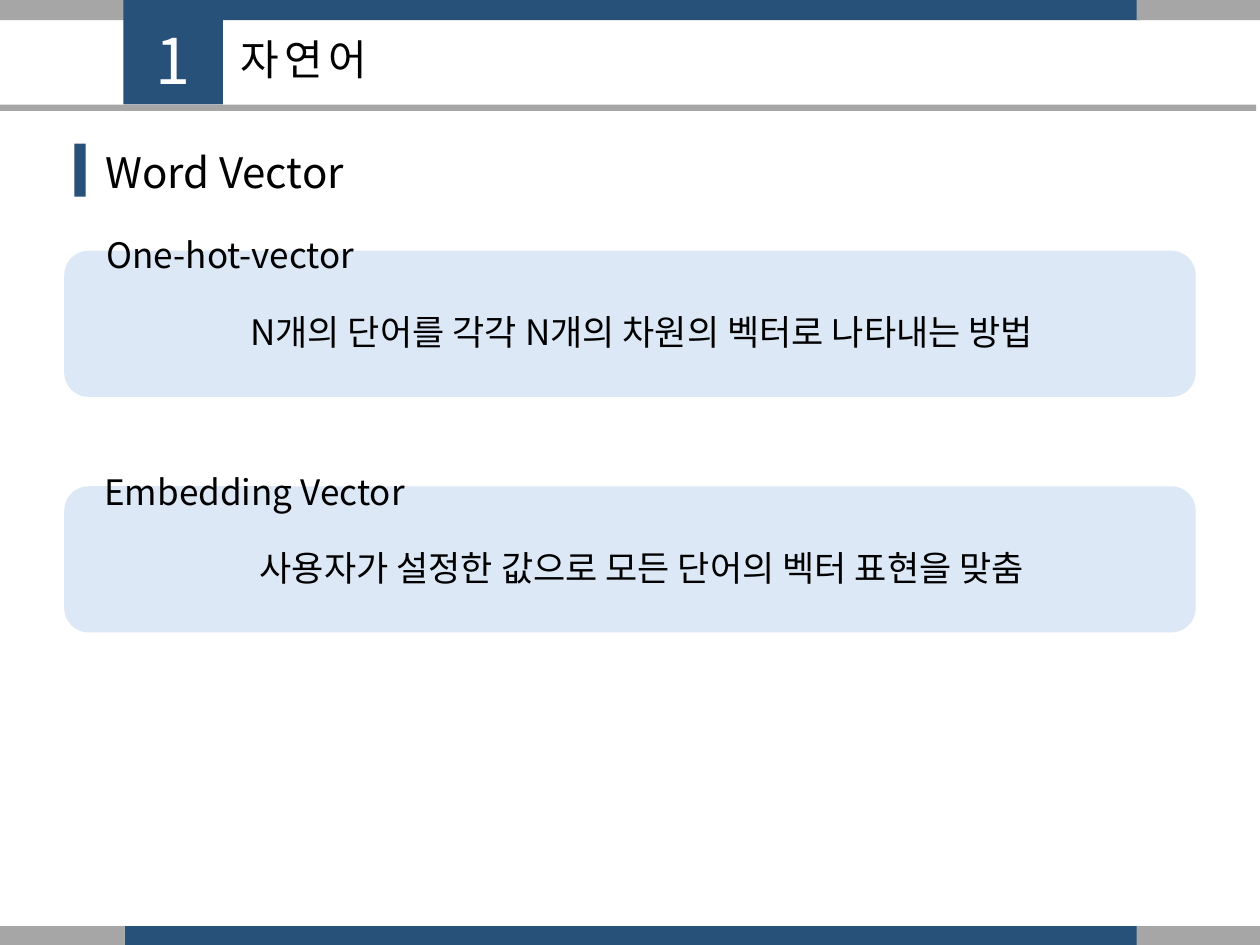
from lxml import etree
from pptx import Presentation
from pptx.dml.color import RGBColor
from pptx.enum import shapes, text
from pptx.oxml.ns import qn
from pptx.util import Inches, Pt

NAVY = RGBColor(0x28, 0x51, 0x7A)
GRAY = RGBColor(0xA6, 0xA6, 0xA6)
PALE_BLUE = RGBColor(0xC6, 0xD9, 0xF1)
BLACK = RGBColor(0, 0, 0)
WHITE = RGBColor(0xFF, 0xFF, 0xFF)
FONT = "Noto Sans CJK KR"
LEFT, CENTER = text.PP_ALIGN.LEFT, text.PP_ALIGN.CENTER
RECTANGLE = shapes.MSO_SHAPE.RECTANGLE
ROUNDED = shapes.MSO_SHAPE.ROUNDED_RECTANGLE


def add_block(parent, box, color, kind=RECTANGLE, opacity=None):
    shape = parent.shapes.add_shape(kind, *map(Inches, box))
    shape.shadow.inherit = False
    shape.fill.solid()
    shape.fill.fore_color.rgb = color
    shape.line.fill.background()
    if opacity is not None:
        color_element = shape.fill._xPr.find(".//" + qn("a:srgbClr"))
        etree.SubElement(color_element, qn("a:alpha"), val=str(opacity * 1000))
    return shape


def add_text(parent, box, words, size, color=BLACK, align=LEFT, line_spacing=None, tracking=0):
    shape = parent.shapes.add_textbox(*map(Inches, box))
    frame = shape.text_frame
    frame.word_wrap = True
    frame.auto_size = text.MSO_AUTO_SIZE.SHAPE_TO_FIT_TEXT
    paragraph = frame.paragraphs[0]
    paragraph.text = words
    paragraph.alignment = align
    if line_spacing:
        paragraph.line_spacing = line_spacing
    paragraph.font.size = Pt(size)
    paragraph.font.name = FONT
    paragraph.font.color.rgb = color
    properties = paragraph._p.pPr.find(qn("a:defRPr"))
    latin = properties.find(qn("a:latin"))
    latin.addnext(etree.Element(qn("a:ea"), typeface=FONT))
    if tracking:
        properties.set("spc", str(tracking * 100))


def add_band(slide, top):
    group = slide.shapes.add_group_shape()
    for left, width, color in ((0.99, 8.06, NAVY), (0, 0.99, GRAY), (9.02, 0.98, GRAY)):
        add_block(group, (left, top, width, 0.16), color)


def add_header(slide, number, title):
    add_block(slide, (0.98, 0, 0.79, 0.83), NAVY)
    add_text(slide, (1.81, 0.22, 5.51, 0.5), title, 24, tracking=3)
    add_block(slide, (-0.05, 0.83, 10.02, 0.05), GRAY)
    add_text(slide, (0.94, 0.12, 0.87, 0.71), number, 36, WHITE, CENTER, tracking=3)


def add_section_title(slide, title):
    add_text(slide, (0.74, 1.11, 3.94, 0.5), title, 24)
    add_block(slide, (0.59, 1.14, 0.09, 0.42), NAVY)


def add_card(slide, top, label, description, label_left, label_top, label_align):
    group = slide.shapes.add_group_shape()
    panel = add_block(group, (0.51, top, 8.98, 1.16), PALE_BLUE, ROUNDED, 60)
    panel.adjustments[0] = 0.167
    add_text(group, (0.94, top + 0.26, 8.31, 0.56), description, 20, BLACK, CENTER, 1.5)
    add_text(group, (label_left, label_top, 2.6, 0.56), label, 20, BLACK, label_align, 1.5)


def main():
    presentation = Presentation()
    presentation.slide_width = Inches(10)
    presentation.slide_height = Inches(7.5)
    slide = presentation.slides.add_slide(presentation.slide_layouts[6])
    for top in (0, 7.35):
        add_band(slide, top)
    add_header(slide, "1", "자연어")
    add_section_title(slide, "Word Vector")
    add_card(slide, 1.99, "One-hot-vector",
             "N개의 단어를 각각 N개의 차원의 벡터로 나타내는 방법", 0.53, 1.64, CENTER)
    add_card(slide, 3.86, "Embedding Vector",
             "사용자가 설정한 값으로 모든 단어의 벡터 표현을 맞춤", 0.73, 3.52, LEFT)
    presentation.save("out.pptx")


if __name__ == "__main__":
    main()
